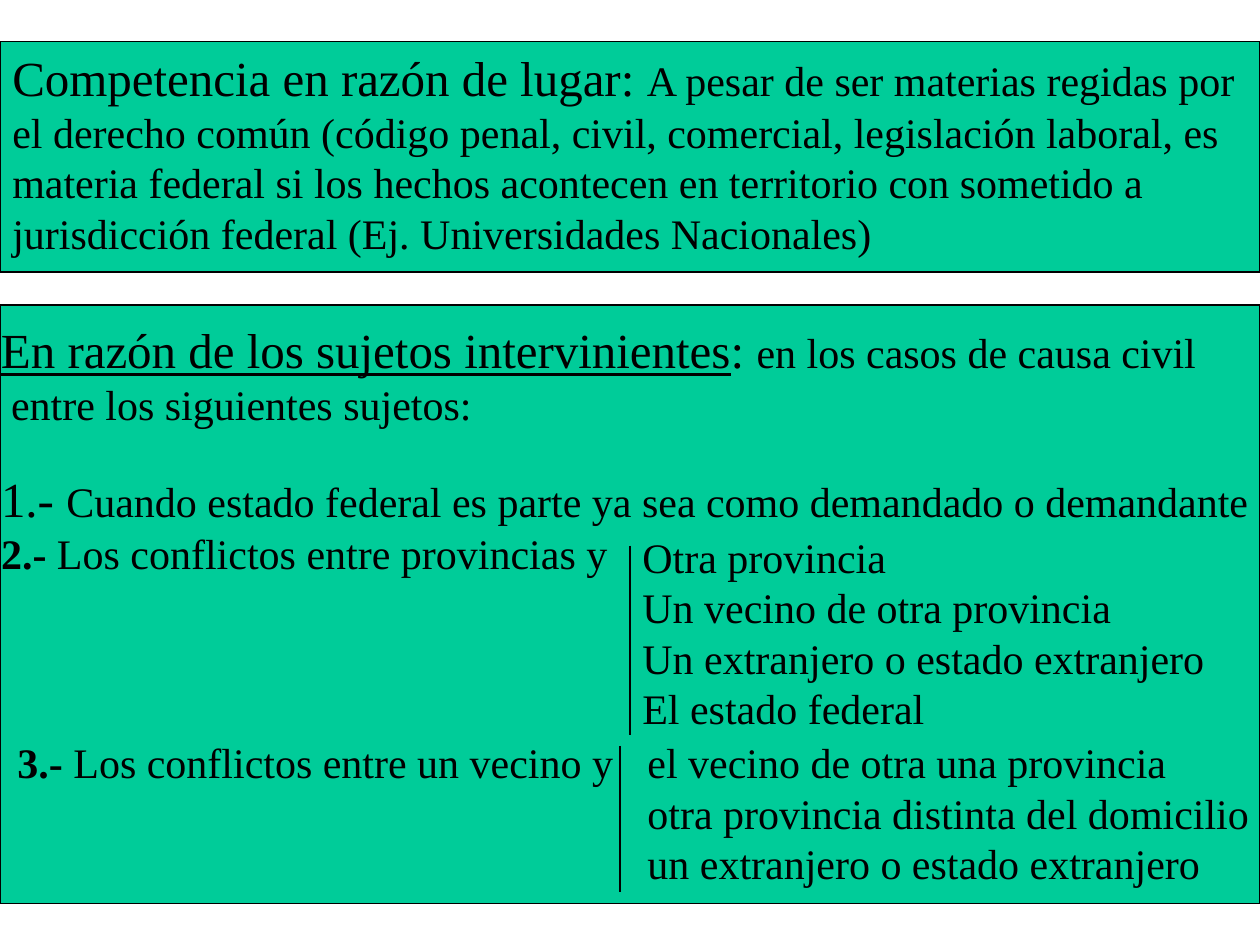
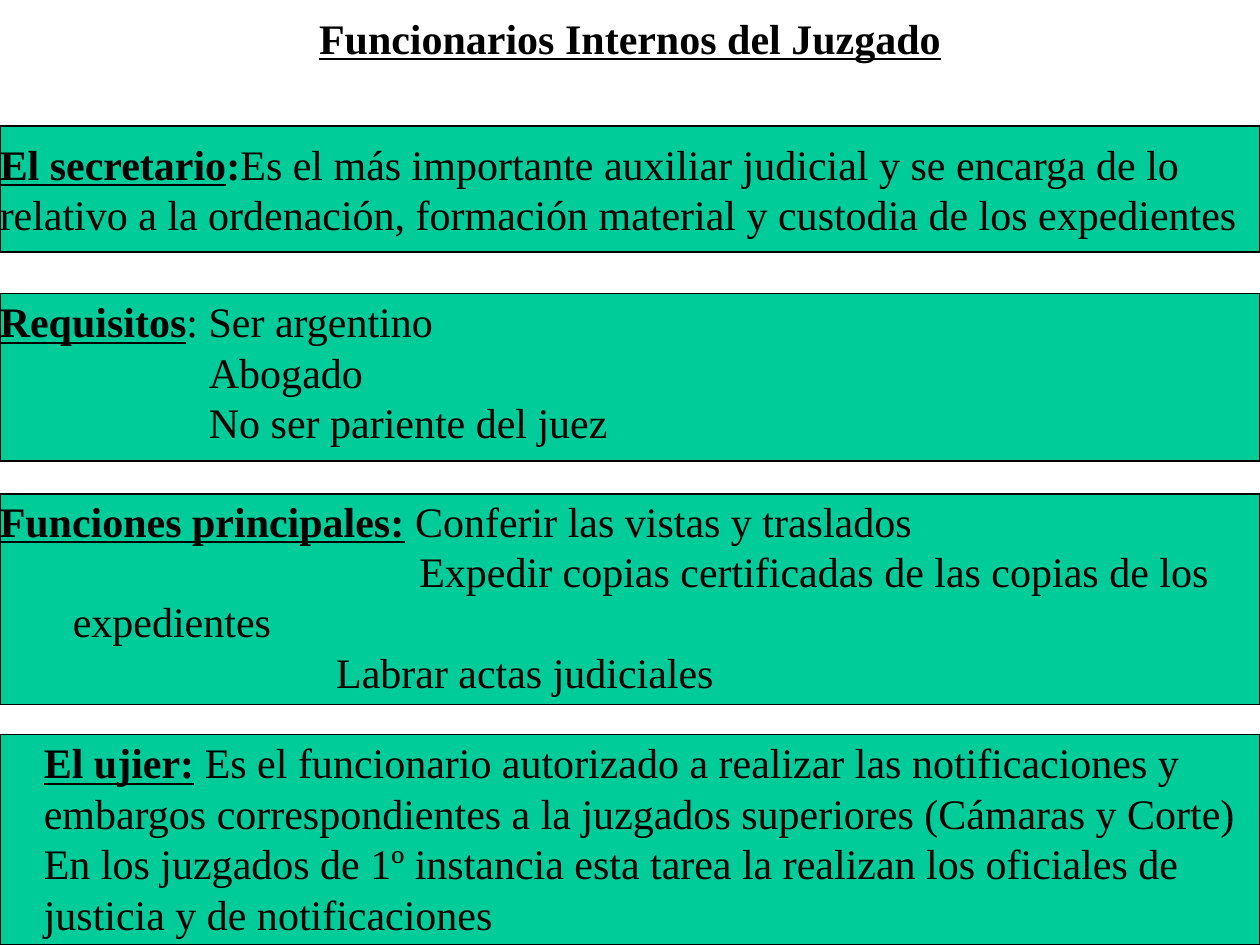
from pptx import Presentation
from pptx.dml.color import RGBColor
from pptx.enum import shapes, text
from pptx.oxml.ns import qn
from pptx.util import Inches, Pt
from lxml import etree

COLORS = {"panel": "00CC99", "ink": "000000"}
BASE = {"name": "Times New Roman", "size": Pt(24), "bold": False, "underline": False}
BOLD = {"bold": True}
LARGE = {"size": Pt(28)}
TERM = {"bold": True, "underline": True}


def rgb(key):
    return RGBColor.from_string(COLORS[key])


def set_line(line):
    line.color.rgb = rgb("ink")
    line.width = Pt(0.75)


def add_panel(slide, top, height):
    """Full-width green band."""
    sp = slide.shapes.add_shape(shapes.MSO_SHAPE.RECTANGLE, 0, Inches(top),
                                Inches(10), Inches(height))
    sp.shadow.inherit = False
    sp.fill.solid()
    sp.fill.fore_color.rgb = rgb("panel")
    set_line(sp.line)


def add_divider(slide, x, top, bottom):
    cx = slide.shapes.add_connector(shapes.MSO_CONNECTOR.STRAIGHT, Inches(x), Inches(top),
                                    Inches(x), Inches(bottom))
    set_line(cx.line)
    etree.SubElement(cx._element.spPr, qn("a:effectLst"))


def add_run(p, words, style):
    r = p.add_run()
    r.text = words
    for attr, value in {**BASE, **style}.items():
        setattr(r.font, attr, value)
    r.font.color.rgb = rgb("ink")


def set_indent(p, first, rest, tab):
    """Left edges of the first and following lines, and one tab stop."""
    pPr = p._p.get_or_add_pPr()
    pPr.set("marL", str(Inches(rest)))
    pPr.set("indent", str(Inches(first) - Inches(rest)))
    if tab:
        tabs = etree.SubElement(pPr, qn("a:tabLst"))
        etree.SubElement(tabs, qn("a:tab"), pos=str(Inches(tab)), algn="l")


def para(*runs, first=0, rest=0, tab=None):
    """A paragraph; a run is a plain string or a (words, style) pair."""
    return runs, (first, rest, tab)


def add_text(slide, left, top, width, height, *paras):
    tf = slide.shapes.add_textbox(*map(Inches, (left, top, width, height))).text_frame
    tf.word_wrap = True
    for i, (runs, indent) in enumerate(paras):
        p = tf.add_paragraph() if i else tf.paragraphs[0]
        set_indent(p, *indent)
        for run in runs:
            add_run(p, *((run, {}) if isinstance(run, str) else run))


def set_title(slide, words):
    sp = slide.shapes.title
    sp.left, sp.top, sp.width, sp.height = map(Inches, (0, 0.05, 10, 0.5))
    tf = sp.text_frame
    tf.auto_size = text.MSO_AUTO_SIZE.NONE
    tf.vertical_anchor = text.MSO_ANCHOR.TOP
    p = tf.paragraphs[0]
    p.alignment = text.PP_ALIGN.CENTER
    add_run(p, words, TERM)


def build_competence(prs):
    s = prs.slides.add_slide(prs.slide_layouts[6])
    add_panel(s, 0.33, 1.83)
    add_panel(s, 2.42, 4.75)

    # Competence by place
    add_text(s, 0, 0.33, 10, 1.77,
             para(("Competencia en razón de lugar: ", LARGE),
                  "A pesar de ser materias regidas por"),
             para("el derecho común (código penal, civil, comercial, legislación laboral, es"),
             para("materia federal si los hechos acontecen en territorio con sometido a"),
             para("jurisdicción federal (Ej. Universidades Nacionales)"))

    # Competence by parties
    add_text(s, -0.09, 2.49, 10, 0.97,
             para(("En razón de los sujetos intervinientes", {**LARGE, "underline": True}),
                  (": ", LARGE), "en los casos de causa civil"),
             para("entre los siguientes sujetos:", first=0.08, rest=0.08))
    add_text(s, -0.09, 3.67, 10.25, 0.97,
             para(("1.- ", LARGE),
                  "Cuando estado federal es parte ya sea como demandado o demandante"),
             para(("2.-", BOLD), " Los conflictos entre provincias y"))
    add_text(s, 5, 4.17, 4.9, 1.7,
             para("Otra provincia"),
             para("Un vecino de otra provincia"),
             para("Un extranjero o estado extranjero"),
             para("El estado federal"))
    add_divider(s, 5, 4.33, 5.83)
    add_text(s, 0.04, 5.8, 10.1, 1.3,
             para(("3.- ", BOLD),
                  "Los conflictos entre un vecino y\tel vecino de otra una provincia", tab=4.97),
             para("otra provincia distinta del domicilio", first=5, rest=5),
             para("un extranjero o estado extranjero", first=5, rest=5))
    add_divider(s, 4.92, 5.92, 7.08)


def build_officials(prs):
    s = prs.slides.add_slide(prs.slide_layouts[5])
    set_title(s, "Funcionarios Internos del Juzgado")
    for top, height in ((1, 1), (2.33, 1.33), (3.92, 1.67), (5.83, 1.67)):
        add_panel(s, top, height)

    # The secretary: role, requirements, functions
    add_text(s, -0.1, 1.05, 10.1, 0.9,
             para(("El secretario", TERM), (":", BOLD),
                  "Es el más importante auxiliar judicial y se encarga de lo relativo a la "
                  "ordenación, formación material y custodia de los expedientes"))
    add_text(s, -0.1, 2.3, 10.1, 1.3,
             para(("Requisitos", TERM), ": Ser argentino"),
             para("Abogado", first=1.66, rest=1.66),
             para("No ser pariente del juez", first=1.66, rest=1.66))
    add_text(s, -0.1, 3.88, 10.1, 1.7,
             para(("Funciones principales:", TERM), " Conferir las vistas y traslados"),
             para("Expedir copias certificadas de las copias de los expedientes",
                  first=3.33, rest=0.58),
             para("Labrar actas judiciales", first=2.67, rest=2.67))

    # The usher
    add_text(s, 0.25, 5.8, 10.1, 1.7,
             para(("El ujier:", TERM),
                  " Es el funcionario autorizado a realizar las notificaciones y embargos "
                  "correspondientes a la juzgados superiores (Cámaras y Corte)"),
             para("En los juzgados de 1º instancia esta tarea la realizan los oficiales de "
                  "justicia y de notificaciones"))


def main():
    prs = Presentation()
    prs.slide_width, prs.slide_height = Inches(10), Inches(7.5)
    build_competence(prs)
    build_officials(prs)
    prs.save("out.pptx")


if __name__ == "__main__":
    main()
